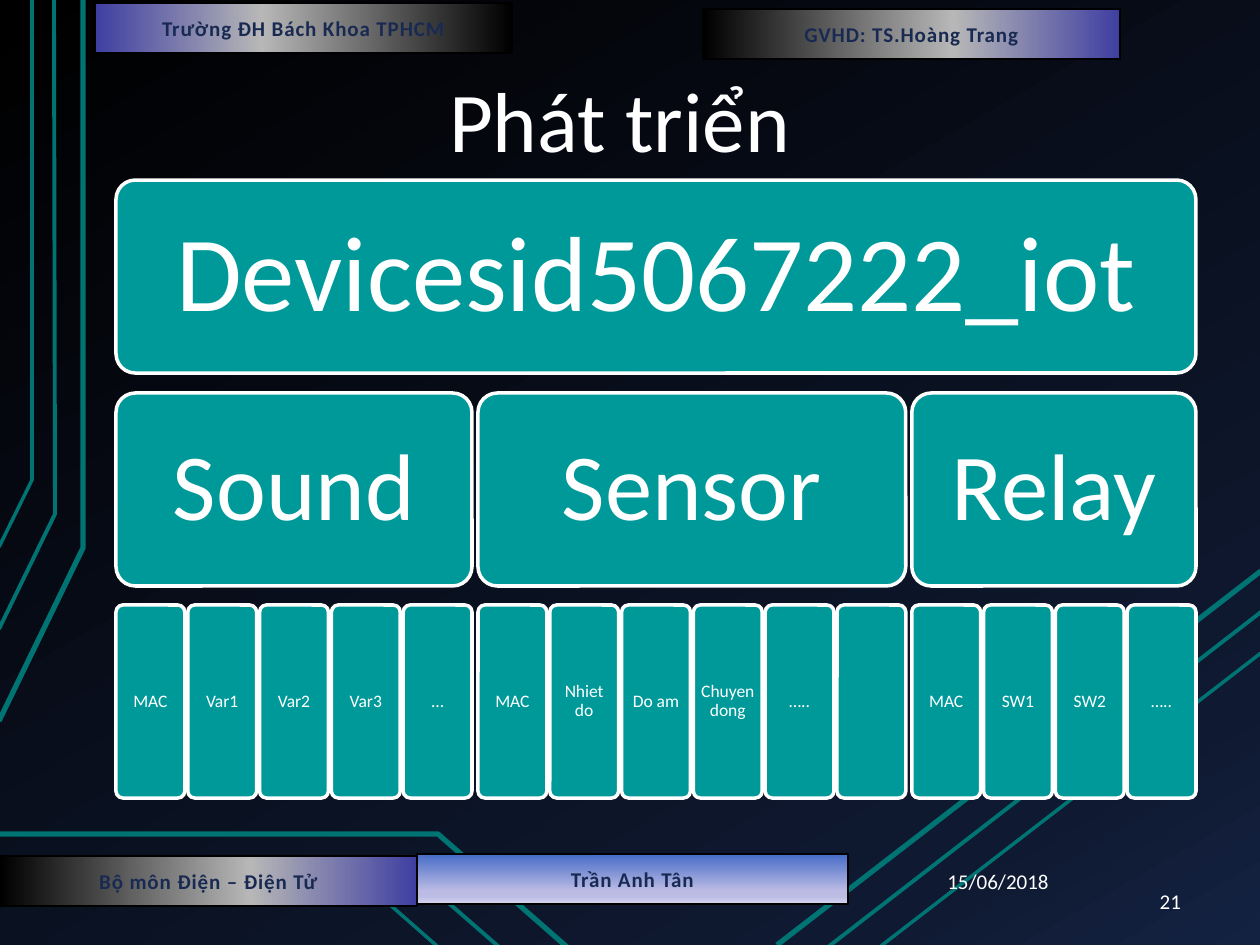
from lxml import etree
from pptx import Presentation
from pptx import util as u
from pptx.dml.color import RGBColor as RGB
from pptx.enum import shapes, text
from pptx.oxml.ns import qn

SCALE = 914400 / 126  # EMU in one px

THEME = {
    "white": "FFFFFF", "navy": "192A52", "black": "000000",
    "teal": "009999", "wire": "007373",
    "back": [(0, "000000"), (85, "0F1931"), (100, "142242")],
    "metal": [(0, "3F3FA2"), (40, "B7B7B7"), (100, "000000")],
    "sky": [(0, "466CC7"), (74, "BBBBE4"), (83, "BBBBE4"), (100, "D2D2ED")],
    "font": "Calibri",
    "title": 48.6, "root": 61, "node": 54, "leaf": 10, "note": 12,
}


def shade(fill, root, stops, turn):
    """Fill with a gradient of any number of stops, turned clockwise."""
    fill.gradient()
    fill.gradient_angle = 360 - turn
    bag = next(root.iter(qn("a:gsLst")))
    for old in list(bag):
        bag.remove(old)
    for pos, tint in stops:
        stop = etree.SubElement(bag, qn("a:gs"), pos=str(pos * 1000))
        etree.SubElement(stop, qn("a:srgbClr"), val=tint)


def write(shape, words, size, tint="white", align="CENTER", anchor="MIDDLE",
          pad=(16, 9), bold=False, lead=1.0):
    """Put one styled paragraph in a shape."""
    frame = shape.text_frame
    side, edge = (int(n * SCALE) for n in pad)
    look = {"word_wrap": True, "vertical_anchor": text.MSO_ANCHOR[anchor],
            "margin_left": side, "margin_right": side,
            "margin_top": edge, "margin_bottom": edge}
    for key, val in look.items():
        setattr(frame, key, val)
    para = frame.paragraphs[0]
    para.alignment = text.PP_ALIGN[align]
    para.line_spacing = lead
    run = para.add_run()
    run.text = words
    face = {"name": THEME["font"], "size": u.Pt(THEME[size]), "bold": bold}
    for key, val in face.items():
        setattr(run.font, key, val)
    run.font.color.rgb = RGB.from_string(THEME[tint])
    if bold:
        run.font._element.set("spc", "50")


deck = Presentation()
deck.slide_width, deck.slide_height = u.Inches(10), u.Inches(7.5)
slide = deck.slides.add_slide(deck.slide_layouts[6])
tree = slide.shapes
shade(slide.background.fill, slide._element, THEME["back"], 60)

# Circuit wires: bent ones at the left and bottom, straight ones at the right
bent = [
    (3, [(-1, 721), (83, 548), (83, 0)]),
    (2.25, [(-1, 629), (55, 514), (54, 0)]),
    (2, [(-1, 547), (32, 480), (32, 0)]),
    (3, [(567, 947), (438, 834), (0, 834)]),
    (2.25, [(499, 947), (413, 872), (0, 873)]),
    (2, [(437, 946), (388, 903), (-1, 902)]),
]
straight = [
    (3, (777, 945, 1261, 571)),
    (2.25, (828, 947, 1261, 612)),
    (2, (881, 946, 1261, 653)),
]
wires = []
for width, dots in bent:
    path = tree.build_freeform(*dots[0], scale=SCALE)
    path.add_line_segments(dots[1:], close=False)
    wire = path.convert_to_shape()
    wire.fill.background()
    wire.shadow.inherit = False
    wires.append((wire, width))
for width, ends in straight:
    wire = tree.add_connector(shapes.MSO_CONNECTOR.STRAIGHT,
                              *(int(n * SCALE) for n in ends))
    etree.SubElement(wire._element.spPr, qn("a:effectLst"))
    wires.append((wire, width))
for wire, width in wires:
    wire.line.color.rgb = RGB.from_string(THEME["wire"])
    wire.line.width = u.Pt(width)

# Title, date and slide number
labels = [
    ("Phát triển", (168, 81, 903, 98), "title", "CENTER", "BOTTOM"),
    ("15/06/2018", (851, 856, 294, 50), "note", "CENTER", "MIDDLE"),
    ("21", (1092, 876, 105, 50), "note", "RIGHT", "MIDDLE"),
]
for words, area, size, align, anchor in labels:
    box = tree.add_textbox(*(int(n * SCALE) for n in area))
    write(box, words, size, align=align, anchor=anchor)

# Gradient bars in the header and footer
bars = [
    ("Trần Anh Tân", (417, 854, 431, 50), "sky", 90),
    ("Bộ môn Điện – Điện Tử", (0, 856, 417, 50), "metal", 180),
    ("Trường ĐH Bách Khoa TPHCM", (95, 3, 417, 50), "metal", 0),
    ("GVHD: TS.Hoàng Trang", (703, 9, 417, 50), "metal", 180),
]
for words, area, stops, turn in bars:
    bar = tree.add_shape(shapes.MSO_SHAPE.RECTANGLE,
                         *(int(n * SCALE) for n in area))
    bar.shadow.inherit = False
    shade(bar.fill, bar._element, THEME[stops], turn)
    bar.line.color.rgb = RGB.from_string(THEME["black"])
    bar.line.width = u.Pt(0.75)
    write(bar, words, "note", tint="navy", bold=True)

# Data tree: the leaves set the grid, each branch spans its own leaves
branches = {
    "Sound": ["MAC", "Var1", "Var2", "Var3", "…"],
    "Sensor": ["MAC", "Nhiet do", "Do am", "Chuyen dong", "…..", ""],
    "Relay": ["MAC", "SW1", "SW2", "….."],
}
LEFT, SPAN, TALL, GAP, SPLIT = 116, 1080, 193, 3, 6
rows = [180, 393, 605]
count = sum(len(kids) for kids in branches.values())
forks = len(branches) - 1
cell = (SPAN - GAP * (count - 1 - forks) - SPLIT * forks) / count

nodes = [("Devicesid5067222_iot", LEFT, rows[0], SPAN, "root", 31)]
start = LEFT
for name, kids in branches.items():
    wide = len(kids) * (cell + GAP) - GAP
    nodes.append((name, start, rows[1], wide, "node", 29))
    for col, kid in enumerate(kids):
        nodes.append((kid, start + col * (cell + GAP), rows[2], cell, "leaf", 5))
    start += wide + SPLIT

for words, left, top, wide, size, pad in nodes:
    node = tree.add_shape(shapes.MSO_SHAPE.ROUNDED_RECTANGLE,
                          *(int(n * SCALE) for n in (left, top, wide, TALL)))
    node.adjustments[0] = 0.1
    node.shadow.inherit = False
    node.fill.solid()
    node.fill.fore_color.rgb = RGB.from_string(THEME["teal"])
    node.line.color.rgb = RGB.from_string(THEME["white"])
    node.line.width = u.Pt(2)
    if words:
        write(node, words, size, pad=(pad, pad), lead=0.9)

deck.save("out.pptx")
